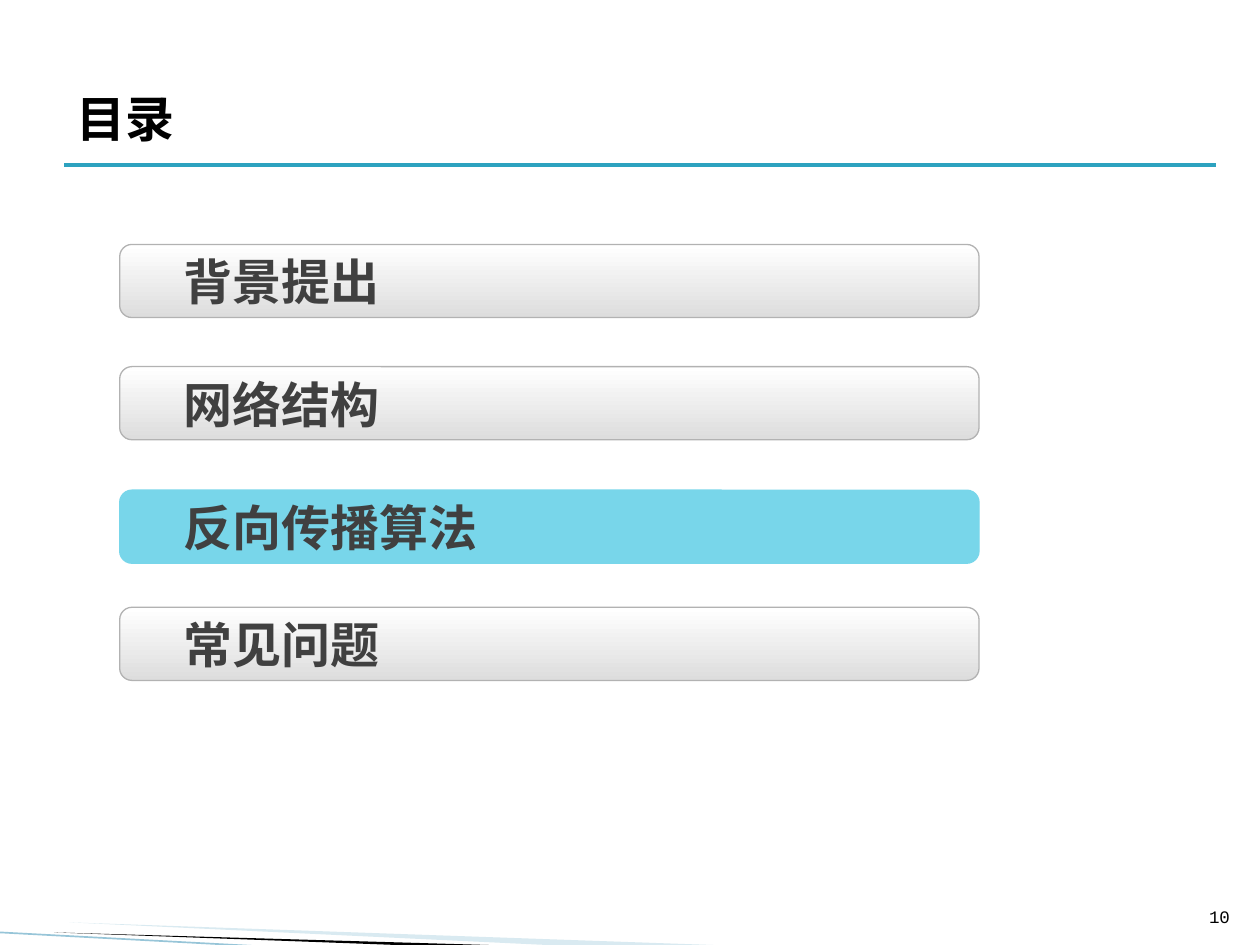
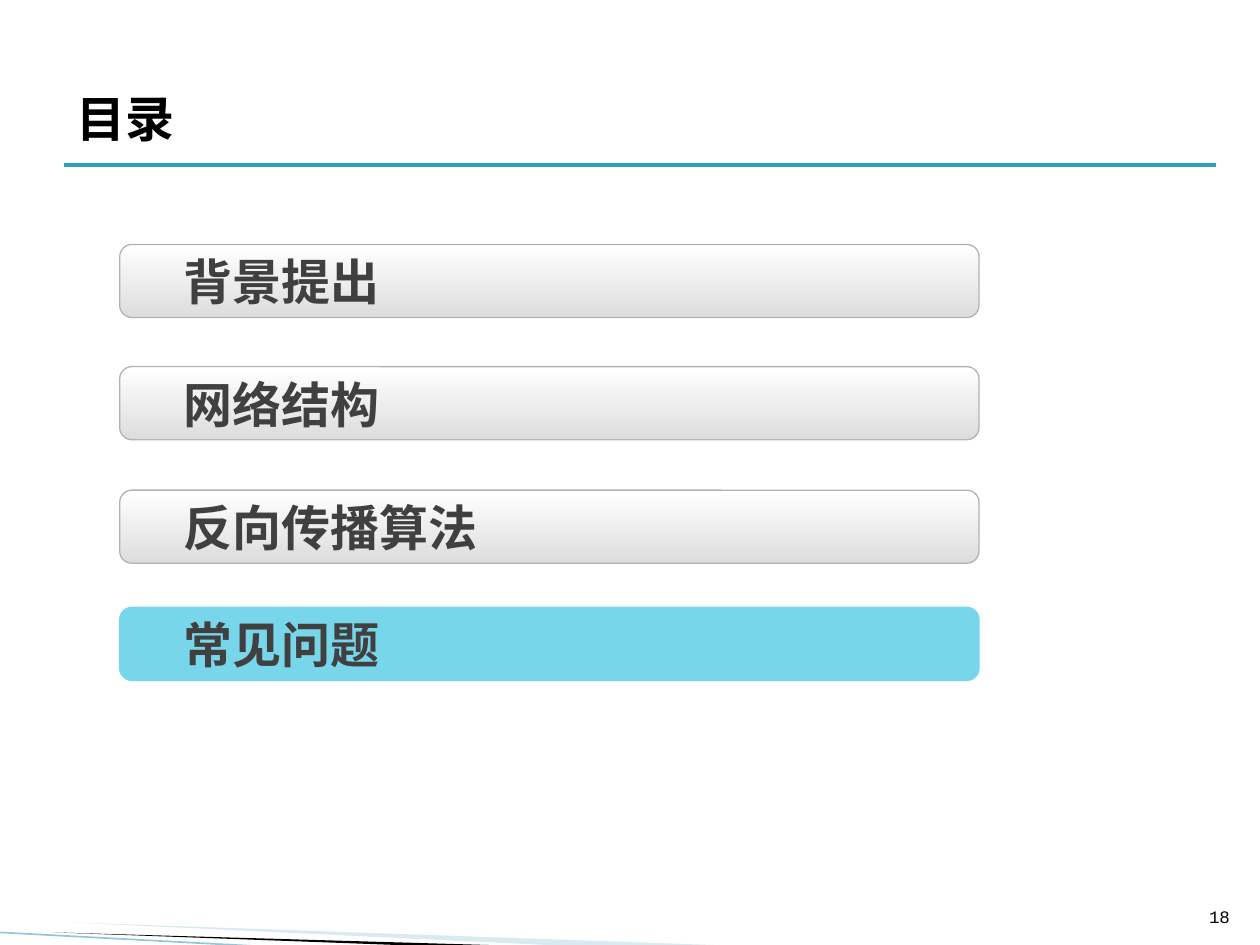
from lxml.etree import SubElement
from pptx import Presentation
from pptx.dml.color import RGBColor
from pptx.enum.shapes import MSO_CONNECTOR, MSO_SHAPE
from pptx.enum.text import MSO_ANCHOR, MSO_AUTO_SIZE, PP_ALIGN
from pptx.oxml.ns import qn
from pptx.util import Inches, Pt

COLORS = {
    "text": "000000", "label": "404040", "rule": "2DA2BF",
    "active": "78D6EA", "bar_top": "FFFFFF", "bar_bottom": "DDDDDD",
    "bar_edge": "B2B2B2", "wave": "A0CBDC", "wave_line": "97C5D8",
}
MONO, CJK = "Courier New", "Noto Sans CJK SC"

TOPICS = ["背景提出", "网络结构", "反向传播算法", "常见问题"]
BAR_OFFSETS = [0, 0.97, 1.95, 2.88]
AGENDA_BOX = (0.95, 1.94, 6.82, 0.58)  # left, top, width and height of the first bar


def color(name):
    return RGBColor.from_string(COLORS[name])


def write(box, text, size, font_name, color_name, bold=False,
          align=PP_ALIGN.LEFT, anchor=MSO_ANCHOR.TOP):
    frame = box.text_frame
    frame.word_wrap = True
    frame.vertical_anchor = anchor
    para = frame.paragraphs[0]
    para.text = text
    para.alignment = align
    font = para.font
    font.size, font.name, font.bold = Pt(size), font_name, bold
    font.color.rgb = color(color_name)
    SubElement(font._element, qn("a:ea"), typeface=CJK)


def add_line(page, start, end, color_name, width):
    line = page.shapes.add_connector(
        MSO_CONNECTOR.STRAIGHT, *(Inches(value) for value in (*start, *end)))
    line.line.color.rgb = color(color_name)
    line.line.width = Pt(width)
    SubElement(line._element.spPr, qn("a:effectLst"))


def add_wave(page, points, color_name, opacity=100):
    start, *rest = [(Inches(x), Inches(y)) for x, y in points]
    builder = page.shapes.build_freeform(*start)
    builder.add_line_segments(rest, close=True)
    wave = builder.convert_to_shape()
    wave.shadow.inherit = False
    wave.fill.solid()
    wave.fill.fore_color.rgb = color(color_name)
    wave.line.fill.background()
    if opacity < 100:
        tint = wave._element.spPr.find(".//" + qn("a:srgbClr"))
        SubElement(tint, qn("a:alpha"), val=str(opacity * 1000))


def add_footer(page, number):
    # Sweeping bands in the lower left corner
    add_wave(page, [(0.55, 7.32), (5.95, 7.51), (4.56, 7.51)], "wave", 40)
    add_wave(page, [(0.43, 7.4), (4.57, 7.52), (3.7, 7.52)], "text")
    add_line(page, (0, 7.4), (3.74, 7.6), "wave_line", 0.95)
    # Page number
    box = page.shapes.add_textbox(Inches(9.46), Inches(7.01), Inches(0.4), Inches(0.4))
    write(box, str(number), 10, MONO, "text",
          align=PP_ALIGN.RIGHT, anchor=MSO_ANCHOR.BOTTOM)


def add_title(page, text):
    add_line(page, (0.51, 1.31), (9.65, 1.31), "rule", 2.25)
    title = page.shapes.title
    title.left, title.top = Inches(0.51), Inches(0.6)
    title.width, title.height = Inches(8.58), Inches(0.67)
    write(title, text, 28, MONO, "text", bold=True, anchor=MSO_ANCHOR.MIDDLE)


def add_topic(page, text, left, top, width, height, active):
    # Rounded bar
    bar = page.shapes.add_shape(MSO_SHAPE.ROUNDED_RECTANGLE, Inches(left),
                                Inches(top), Inches(width), Inches(height))
    bar.adjustments[0] = 0.167
    bar.shadow.inherit = False
    if active:
        bar.fill.solid()
        bar.fill.fore_color.rgb = color("active")
    else:
        bar.fill.gradient()
        bar.fill.gradient_angle = 270
        for stop, name in zip(bar.fill.gradient_stops, ("bar_top", "bar_bottom")):
            stop.color.rgb = color(name)
    bar.line.color.rgb = color("active" if active else "bar_edge")
    bar.line.width = Pt(0.75)
    # Label
    label = page.shapes.add_textbox(Inches(left + 0.41), Inches(top + 0.01),
                                    Inches(width - 0.11), Inches(height - 0.01))
    write(label, text, 28, CJK, "label", bold=True)
    label.text_frame.auto_size = MSO_AUTO_SIZE.SHAPE_TO_FIT_TEXT


def add_agenda(page, box, active_topic):
    left, top, width, height = box
    for topic, offset in zip(TOPICS, BAR_OFFSETS):
        add_topic(page, topic, left, top + offset, width, height, topic == active_topic)


def add_agenda_page(deck, number, active_topic):
    page = deck.slides.add_slide(deck.slide_layouts[5])
    add_footer(page, number)
    add_title(page, "目录")
    add_agenda(page, AGENDA_BOX, active_topic)


def main():
    deck = Presentation()
    deck.slide_width, deck.slide_height = Inches(10), Inches(7.5)
    add_agenda_page(deck, 10, "反向传播算法")
    add_agenda_page(deck, 18, "常见问题")
    deck.save("out.pptx")


if __name__ == "__main__":
    main()
